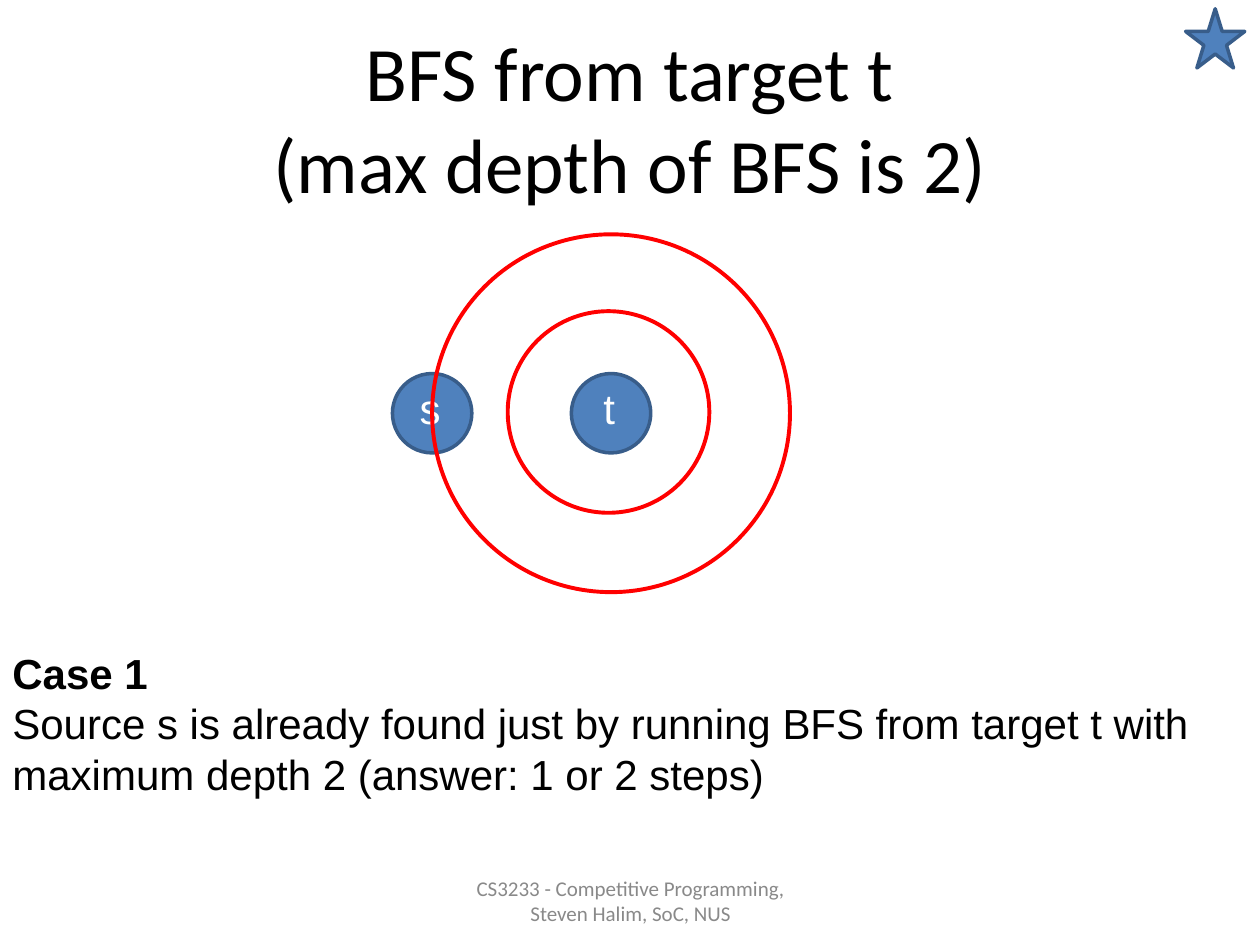
"""Build a slide on breadth-first search from a target, limited to depth 2."""
from pptx import Presentation
from pptx.dml.color import RGBColor
from pptx.enum.shapes import MSO_SHAPE
from pptx.enum.text import MSO_ANCHOR, PP_ALIGN
from pptx.util import Inches, Pt

COLORS = {"ink": "000000", "footer": "898989", "node": "4F81BD",
          "node_edge": "385D8A", "ring": "FF0000", "label": "FFFFFF"}

TITLE = "BFS from target t\v(max depth of BFS is 2)"
FOOTER = "CS3233 - Competitive Programming,\vSteven Halim, SoC, NUS"
CASE = ("Case 1\nSource s is already found just by running BFS from target t "
        "with maximum depth 2 (answer: 1 or 2 steps)")
NODE_SIZE = 0.63
NODES = [("s", 3.43, 3.28), ("t", 4.85, 3.28)]
RINGS = [(4.83, 3.27, 1.6), (4.85, 3.28, 2.84)]
STAR = (9.41, 0.07, 0.47, 0.47)


def color(name):
    return RGBColor.from_string(COLORS[name])


def write(shape, text, font, size, ink, align, anchor):
    frame = shape.text_frame
    frame.word_wrap = True
    frame.vertical_anchor = anchor
    frame.text = text
    for paragraph in frame.paragraphs:
        paragraph.alignment = align
        for run in paragraph.runs:
            run.font.name = font
            run.font.size = Pt(size)
            run.font.color.rgb = color(ink)
    return frame


def add_text(slide, box, *style):
    return write(slide.shapes.add_textbox(*map(Inches, box)), *style)


def add_figure(slide, preset, box, fill, edge, width):
    figure = slide.shapes.add_shape(preset, *map(Inches, box))
    figure.shadow.inherit = False
    if fill:
        figure.fill.solid()
        figure.fill.fore_color.rgb = color(fill)
    else:
        figure.fill.background()
    figure.line.color.rgb = color(edge)
    figure.line.width = Pt(width)
    return figure


def add_circle(slide, x, y, size, *style):
    box = (x - size / 2, y - size / 2, size, size)
    return add_figure(slide, MSO_SHAPE.OVAL, box, *style)


def main():
    deck = Presentation()
    deck.slide_width, deck.slide_height = Inches(10), Inches(7.5)
    slide = deck.slides.add_slide(deck.slide_layouts[6])

    add_text(slide, (0.5, 0.3, 9, 1.25), TITLE, "Calibri", 44, "ink",
             PP_ALIGN.CENTER, MSO_ANCHOR.MIDDLE)
    add_text(slide, (3.42, 6.95, 3.17, 0.4), FOOTER, "Calibri", 12, "footer",
             PP_ALIGN.CENTER, MSO_ANCHOR.MIDDLE)

    for label, x, y in NODES:
        node = add_circle(slide, x, y, NODE_SIZE, "node", "node_edge", 2)
        frame = write(node, label, "Arial", 24, "label",
                      PP_ALIGN.CENTER, MSO_ANCHOR.MIDDLE)
        frame.margin_left = frame.margin_top = 0
        frame.margin_right = Inches(0.03)
        frame.margin_bottom = Inches(0.08)
    for x, y, size in RINGS:
        add_circle(slide, x, y, size, None, "ring", 2.25)

    case = add_text(slide, (0, 5.09, 10, 1.3), CASE, "Arial", 24, "ink",
                    PP_ALIGN.LEFT, MSO_ANCHOR.TOP)
    case.paragraphs[0].runs[0].font.bold = True
    add_figure(slide, MSO_SHAPE.STAR_5_POINT, STAR, "node", "node_edge", 2)

    deck.save("out.pptx")


if __name__ == "__main__":
    main()
